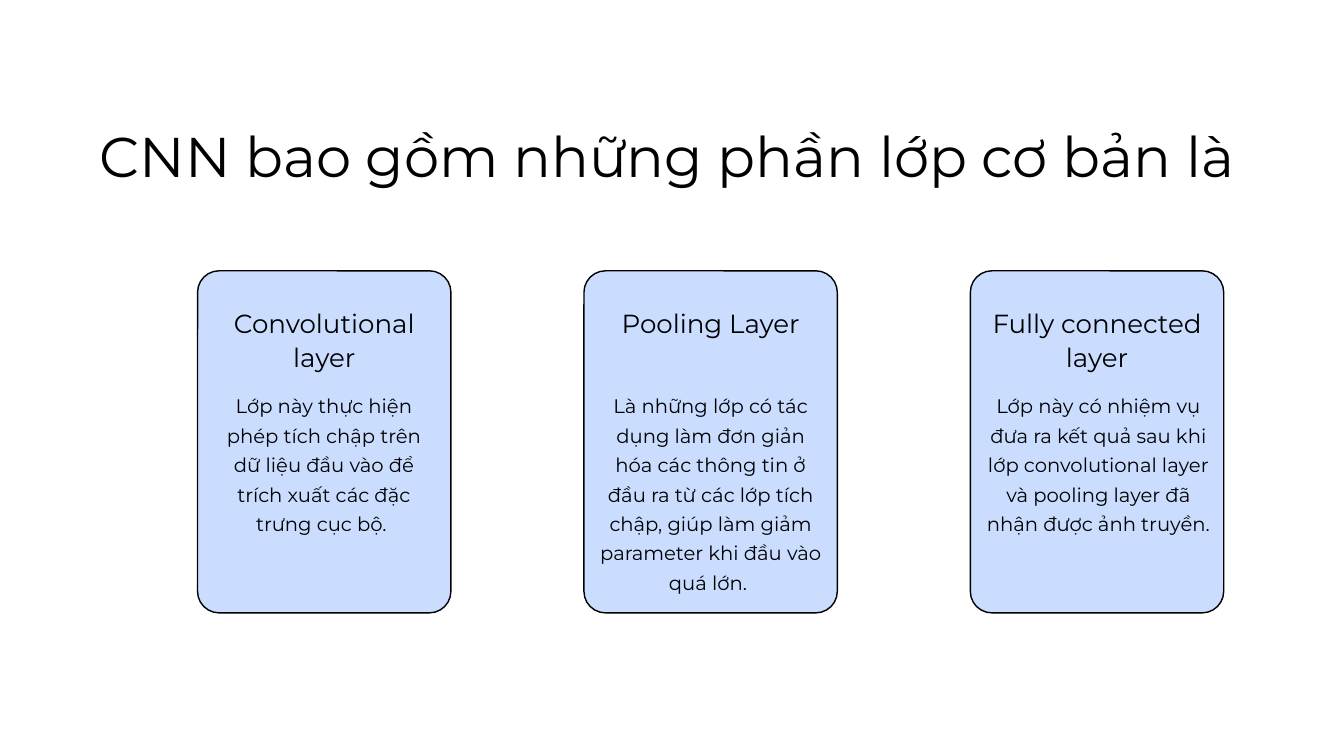
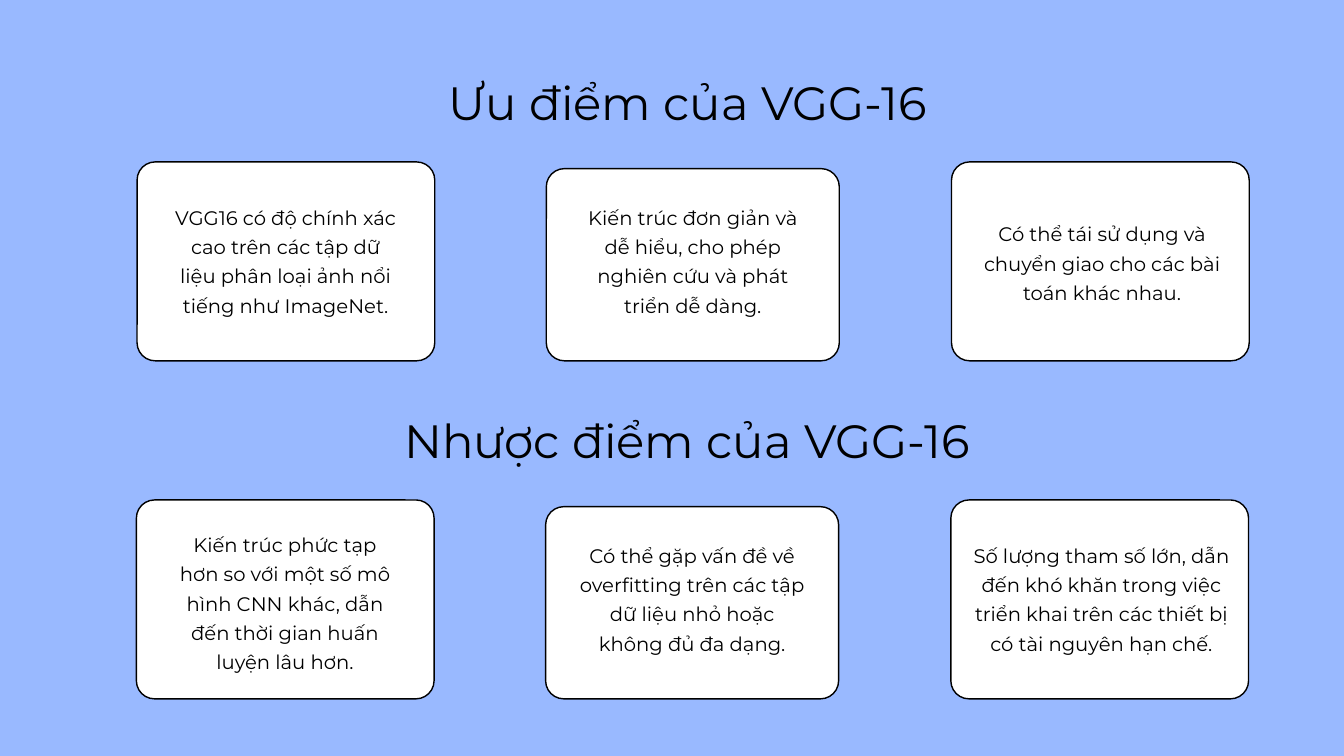
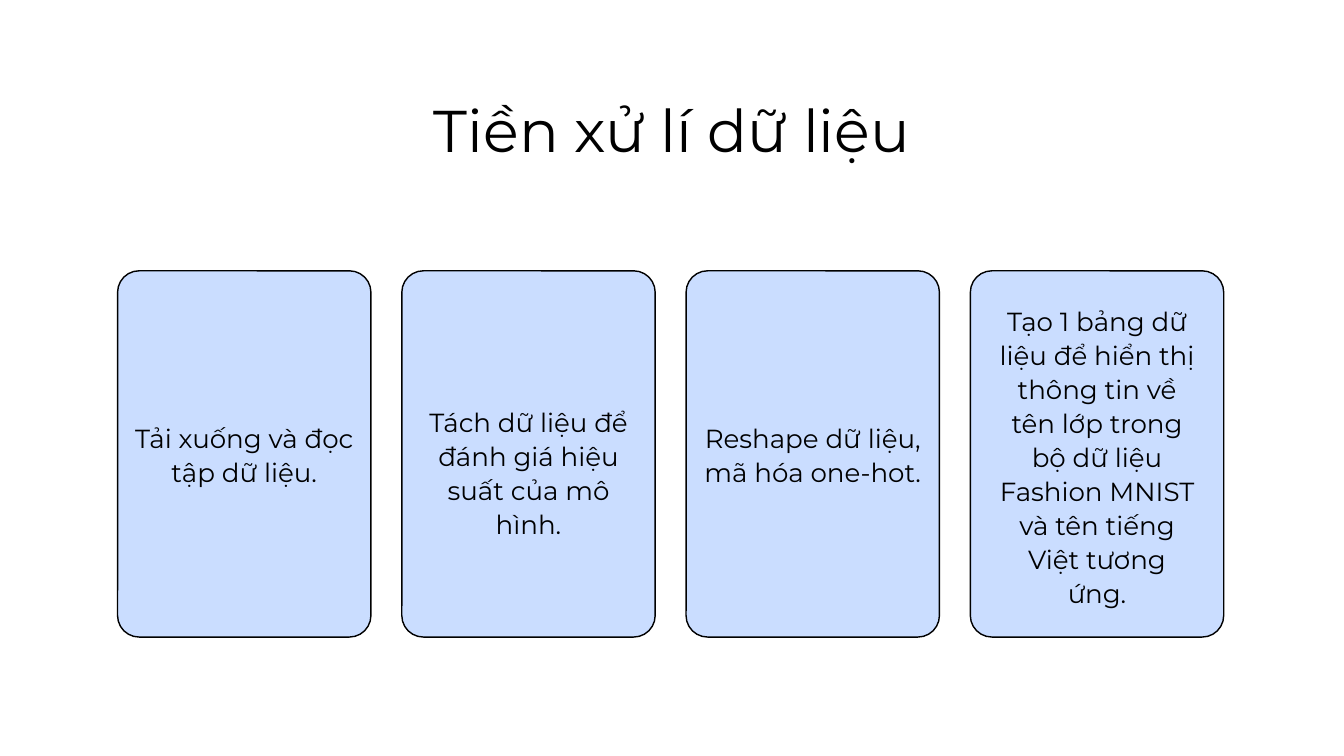
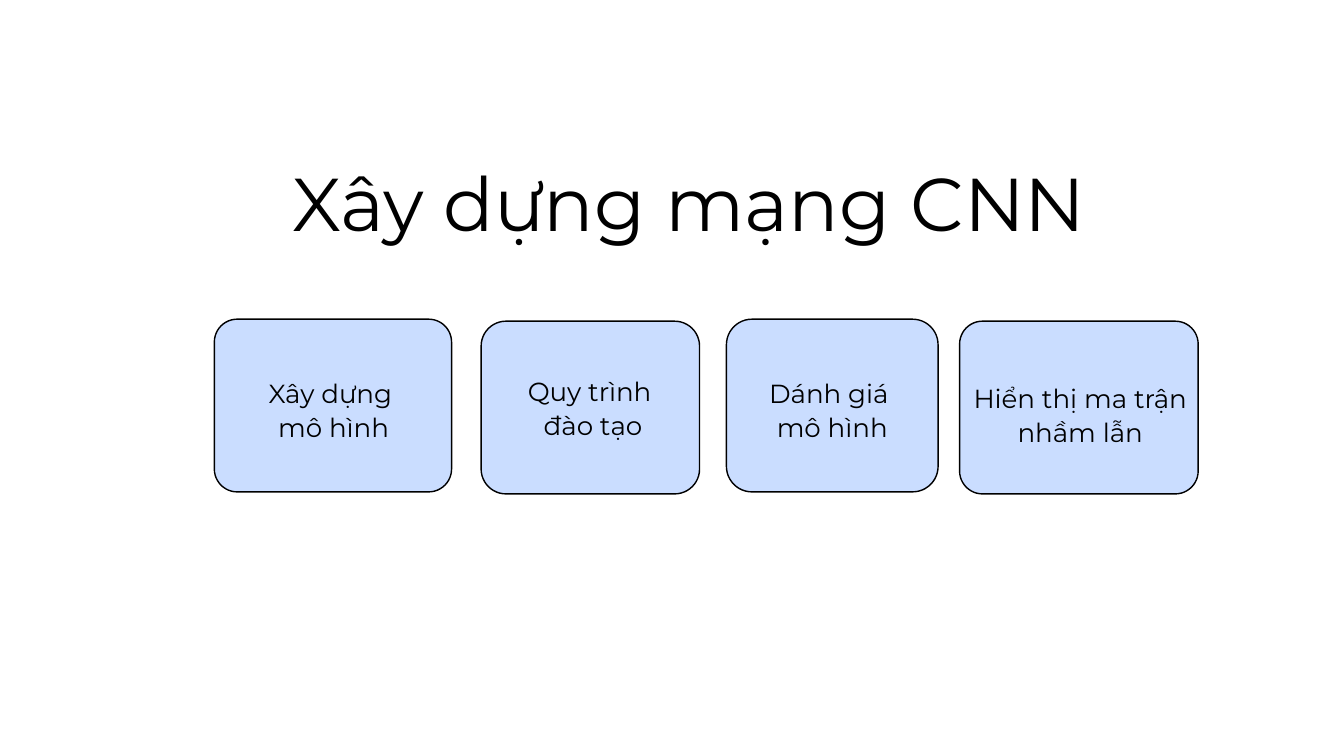
from pptx import Presentation
from pptx.dml.color import RGBColor
from pptx.enum.shapes import MSO_SHAPE as Preset
from pptx.enum.text import MSO_AUTO_SIZE as AutoSize, PP_ALIGN as Align
from pptx.util import Inches, Pt

COLORS = {"ink": "000000", "white": "FFFFFF", "card": "CADDFF", "sky": "99B9FF"}
FONT = "Montserrat"
HEADING = (28, 36.4)
BODY = (21, 31.5)


def color(name):
    """Return the palette colour with this name."""
    return RGBColor.from_string(COLORS[name])


def add_page(deck, background="white"):
    """Add a blank page with a solid background."""
    page = deck.slides.add_slide(deck.slide_layouts[6])
    page.background.fill.solid()
    page.background.fill.fore_color.rgb = color(background)
    return page


def add_card(page, left, top, width, height, radius=0.32, fill="card"):
    """Draw an outlined card with rounded corners."""
    card = page.shapes.add_shape(Preset.ROUNDED_RECTANGLE, Inches(left), Inches(top),
                                 Inches(width), Inches(height))
    card.adjustments[0] = radius / min(width, height)
    card.shadow.inherit = False
    card.fill.solid()
    card.fill.fore_color.rgb = color(fill)
    card.line.color.rgb = color("ink")
    card.line.width = Pt(1.5)


def add_text(page, text, left, top, width, height, style):
    """Write centred text in a (size, line spacing) style."""
    size, spacing = style
    box = page.shapes.add_textbox(Inches(left), Inches(top), Inches(width), Inches(height))
    frame = box.text_frame
    frame.margin_left = frame.margin_right = frame.margin_top = frame.margin_bottom = 0
    frame.word_wrap = True
    frame.auto_size = AutoSize.SHAPE_TO_FIT_TEXT
    frame.text = text
    for para in frame.paragraphs:
        para.alignment = Align.CENTER
        para.line_spacing = Pt(spacing)
        for span in para.runs:
            span.font.name = FONT
            span.font.size = Pt(size)
            span.font.color.rgb = color("ink")


def add_title(page, text, left, top, width, height, size):
    """Write a one-line title with tight line spacing."""
    add_text(page, text, left, top, width, height, (size, round(size * 1.01, 1)))


def build_layers(deck):
    """Build the page on the basic CNN layers."""
    page = add_page(deck)
    add_title(page, "CNN bao gồm những phần lớp cơ bản là ", 1.18, 1.97, 17.7, 0.87, 60)
    layers = [
        ("Convolutional layer", 3.37, 2.91, 0.99,
         "Lớp này thực hiện phép tích chập trên dữ liệu đầu vào để trích xuất "
         "các đặc trưng cục bộ. ", 3.18, 3.28, 2.6),
        ("Pooling Layer", 9.12, 2.91, 0.49,
         "Là những lớp có tác dụng làm đơn giản hóa các thông tin ở đầu ra từ các lớp "
         "tích chập, giúp làm giảm parameter khi đầu vào quá lớn. ", 8.91, 3.33, 3.04),
        ("Fully connected layer", 14.66, 3.33, 0.99,
         "Lớp này có nhiệm vụ đưa ra kết quả sau khi lớp convolutional layer "
         "và pooling layer đã nhận được ảnh truyền.", 14.68, 3.33, 2.16),
    ]
    for index, layer in enumerate(layers):
        name, name_left, name_width, name_height, role, left, width, height = layer
        add_card(page, 2.94 + 5.75 * index, 4.03, 3.77, 5.09)
        add_text(page, name, name_left, 4.53, name_width, name_height, HEADING)
        add_text(page, role, left, 5.78, width, height, BODY)


def build_pros_and_cons(deck):
    """Build the page on the strengths and weaknesses of VGG-16."""
    page = add_page(deck, "sky")
    columns = [(2.04, 0, 4.43, 2.58, 3.34), (8.13, 0.1, 4.36, 8.64, 3.34),
               (14.16, 0, 4.43, 14.49, 3.82)]
    sections = [
        ("Ưu điểm của VGG-16", 0, 1.23, [
            ("VGG16 có độ chính xác cao trên các tập dữ liệu phân loại ảnh nổi tiếng "
             "như ImageNet.", 2.97, 1.73),
            ("Kiến trúc đơn giản và dễ hiểu, cho phép nghiên cứu và phát triển dễ dàng.",
             2.97, 1.73),
            ("Có thể tái sử dụng và chuyển giao cho các bài toán khác nhau.", 3.22, 1.29),
        ]),
        ("Nhược điểm của VGG-16", -0.01, 6.26, [
            ("Kiến trúc phức tạp hơn so với một số mô hình CNN khác, dẫn đến thời gian "
             "huấn luyện lâu hơn.", 7.84, 2.16),
            ("Có thể gặp vấn đề về overfitting trên các tập dữ liệu nhỏ hoặc không đủ "
             "đa dạng.", 8, 1.73),
            ("Số lượng tham số lớn, dẫn đến khó khăn trong việc triển khai trên các "
             "thiết bị có tài nguyên hạn chế.", 8, 1.73),
        ]),
    ]
    for title, shift, top, points in sections:
        add_title(page, title, 5.33 + shift, top, 9.82, 0.73, 50)
        for (left, drop, width, text_left, text_width), point in zip(columns, points):
            text, text_top, text_height = point
            add_card(page, left + shift, top + 1.18 + drop, width, 2.96 - drop, 0.27, "white")
            add_text(page, text, text_left + shift, text_top, text_width, text_height, BODY)


def build_preprocessing(deck):
    """Build the page on the data preparation steps."""
    page = add_page(deck)
    add_title(page, "Tiền xử lí dữ liệu", 5.09, 1.56, 9.82, 0.93, 63.1)
    steps = [
        ("Tải xuống và đọc tập dữ liệu.", 6.24, 3.33, 0.99),
        ("Tách dữ liệu để đánh giá hiệu suất của mô hình.", 6.01, 3.33, 1.99),
        ("Reshape dữ liệu, mã hóa one-hot.", 6.24, 3.33, 0.99),
        ("Tạo 1 bảng dữ liệu để hiển thị thông tin về tên lớp trong bộ dữ liệu "
         "Fashion MNIST và tên tiếng Việt tương ứng.", 4.51, 2.91, 4.49),
    ]
    card_width = 3.77
    for index, (text, top, width, height) in enumerate(steps):
        left = 1.75 + 4.23 * index
        add_card(page, left, 4.03, card_width, 5.45)
        add_text(page, text, left + (card_width - width) / 2, top, width, height, HEADING)


def build_network(deck):
    """Build the page on the stages of making the network."""
    page = add_page(deck)
    add_title(page, "Xây dựng mạng CNN", 3.03, 2.55, 14.45, 1.16, 80.1)
    stages = [
        ("Xây dựng \nmô hình", 3.19, 4.75, 3.53, 0.34, 3.3, 5.58, 0.99),
        ("Quy trình \nđào tạo", 7.16, 4.78, 3.25, 0.37, 7.16, 5.55, 1.99),
        ("Dánh giá \nmô hình", 10.81, 4.75, 3.15, 0.38, 10.72, 5.58, 0.99),
        ("Hiển thị ma trận nhầm lẫn", 14.28, 4.78, 3.55, 0.34, 14.41, 5.65, 0.99),
    ]
    for text, left, top, width, radius, text_left, text_top, text_height in stages:
        add_card(page, left, top, width, 2.57, radius)
        add_text(page, text, text_left, text_top, 3.33, text_height, HEADING)


def main():
    """Build and save the deck."""
    deck = Presentation()
    deck.slide_width = Inches(20)
    deck.slide_height = Inches(11.25)
    build_layers(deck)
    build_pros_and_cons(deck)
    build_preprocessing(deck)
    build_network(deck)
    deck.save("out.pptx")


if __name__ == "__main__":
    main()
